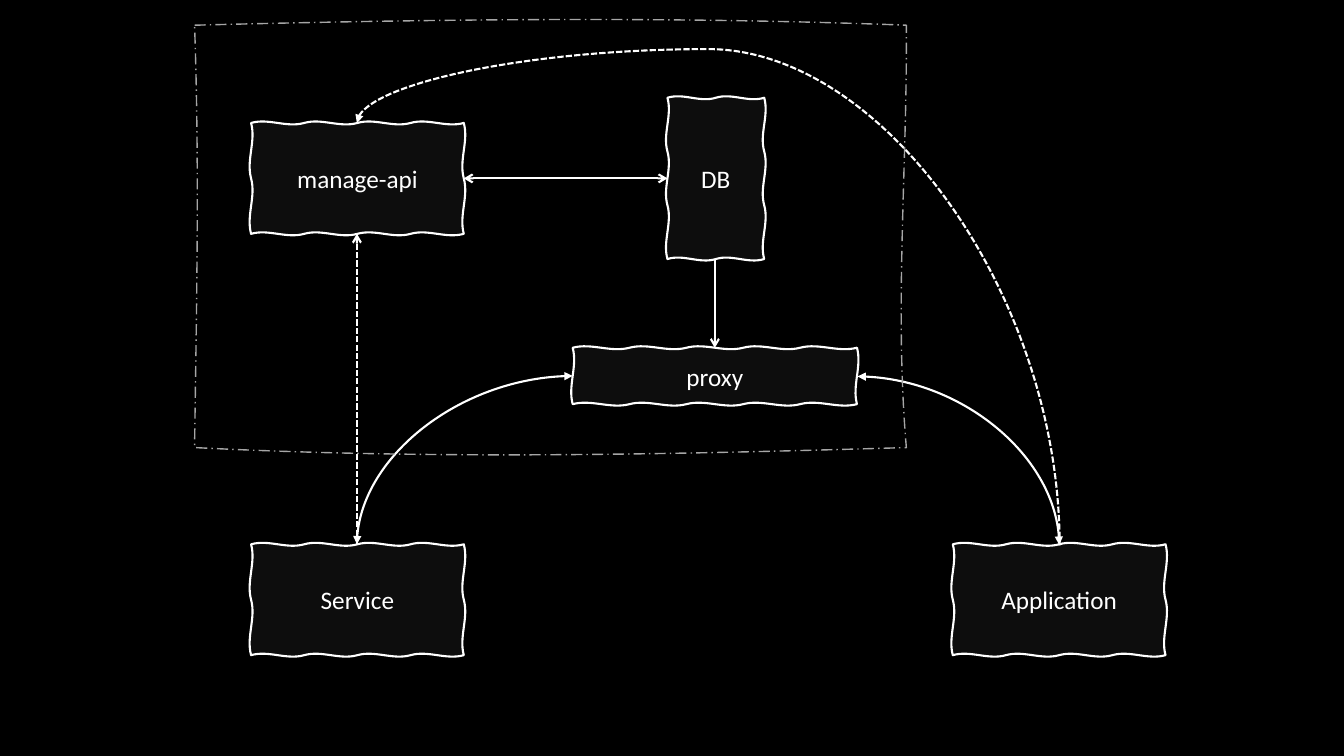
from dataclasses import dataclass

from lxml import etree
from pptx import Presentation
from pptx.dml import color
from pptx.enum import dml, shapes, text
from pptx.oxml import ns
from pptx.util import Inches, Pt


@dataclass(frozen=True)
class Theme:
    background = color.RGBColor(0x00, 0x00, 0x00)
    ink = color.RGBColor(0xFF, 0xFF, 0xFF)
    frame = color.RGBColor(0xA6, 0xA6, 0xA6)
    font = "Calibri"
    label_size = Pt(18)
    line_width = Pt(1.5)
    frame_width = Pt(1)
    fill_alpha = 5000


theme = Theme()


def write(shape, words, size=theme.label_size, ink=theme.ink, align=text.PP_ALIGN.CENTER):
    tf = shape.text_frame
    tf.word_wrap = False
    tf.vertical_anchor = text.MSO_ANCHOR.MIDDLE
    p = tf.paragraphs[0]
    p.alignment = align
    r = p.add_run()
    r.text = words
    r.font.name, r.font.size, r.font.color.rgb = theme.font, size, ink


def sketch_box(left, top, width, height, waves):
    x, y, points, bends = 0, 0, [], []
    edges = ((1, 0, width), (0, 1, height), (-1, 0, width), (0, -1, height))
    for (dx, dy, length), (count, swells) in zip(edges, waves):
        step = length / count
        for _ in range(count):
            bends.append([
                (x + dx * step * t + dy * out, y + dy * step * t - dx * out)
                for t, out in zip((1 / 3, 2 / 3), swells)
            ])
            x, y = x + dx * step, y + dy * step
            points.append((Inches(left + x), Inches(top + y)))
    builder = s.shapes.build_freeform(Inches(left), Inches(top))
    builder.add_line_segments(points, close=True)
    sp = builder.convert_to_shape()
    sp.shadow.inherit = False
    for segment, bend in zip(list(sp.element.iter(ns.qn("a:lnTo"))), bends):
        curve = etree.Element(ns.qn("a:cubicBezTo"))
        for bx, by in bend:
            etree.SubElement(curve, ns.qn("a:pt"), x=str(Inches(bx)), y=str(Inches(by)))
        curve.append(segment[0])
        segment.getparent().replace(segment, curve)
    return sp


prs = Presentation()
prs.slide_width, prs.slide_height = Inches(13.33), Inches(7.5)
s = prs.slides.add_slide(prs.slide_layouts[6])
s.background.fill.solid()
s.background.fill.fore_color.rgb = theme.background

STRAIGHT, CURVE = shapes.MSO_CONNECTOR.STRAIGHT, shapes.MSO_CONNECTOR.CURVE
DASH = dml.MSO_LINE.SQUARE_DOT
quarter, arch = "curvedConnector2", "curvedConnector3"
turned_up = {"rot": "16200000", "flipV": "1"}
turned_over = {"rot": "10800000", "flipV": "1"}
turned_side = {"rot": "16200000", "flipH": "1"}

links = [
    (CURVE, quarter, (8.67, 3.57), (10.34, 5.57), turned_up, None, "triangle", "triangle"),
    (STRAIGHT, "line", (7.09, 2.57), (7.09, 3.45), {}, None, None, "arrow"),
    (STRAIGHT, "line", (3.54, 5.4), (3.54, 2.32), {}, DASH, None, "arrow"),
    (STRAIGHT, "line", (4.6, 1.77), (6.62, 1.77), {}, None, "arrow", "arrow"),
    (CURVE, quarter, (3.54, 3.73), (5.68, 5.4), turned_over, None, "triangle", "triangle"),
    (CURVE, arch, (4.93, -0.17), (9.12, 6.8), turned_side, DASH, "triangle", None),
]
for kind, preset, start, end, turn, dash, head, tail in links:
    link = s.shapes.add_connector(kind, *map(Inches, start + end))
    link.line.color.rgb = theme.ink
    link.line.width = theme.line_width
    if dash:
        link.line.dash_style = dash
    props = link.element.spPr
    for name, value in turn.items():
        props.find(ns.qn("a:xfrm")).set(name, value)
    geometry = props.find(ns.qn("a:prstGeom"))
    geometry.set("prst", preset)
    if preset == arch:
        guides = geometry.find(ns.qn("a:avLst"))
        etree.SubElement(guides, ns.qn("a:gd"), name="adj1", fmla="val -17500")
    for tag, arrow in (("a:headEnd", head), ("a:tailEnd", tail)):
        if arrow:
            etree.SubElement(props.find(ns.qn("a:ln")), ns.qn(tag), type=arrow)
    etree.SubElement(props, ns.qn("a:effectLst"))

boxes = [
    ("Application", 9.45, 5.4, 2.11, 1.1),
    ("Service", 2.49, 5.4, 2.11, 1.1),
    ("proxy", 5.68, 3.45, 2.82, 0.56),
    ("DB", 6.62, 0.97, 0.96, 1.6),
    ("manage-api", 2.49, 1.22, 2.11, 1.1),
]
for label, left, top, width, height in boxes:
    ripples = [(round(side / 0.53), (0.05, -0.05)) for side in (width, height)] * 2
    sp = sketch_box(left, top, width, height, ripples)
    sp.fill.solid()
    sp.fill.fore_color.rgb = theme.ink
    tint = sp.element.spPr.find(ns.qn("a:solidFill"))[0]
    etree.SubElement(tint, ns.qn("a:alpha"), val=str(theme.fill_alpha))
    sp.line.color.rgb = theme.ink
    sp.line.width = theme.line_width
    write(sp, label)

bows = [(1, (0.06, 0.09)), (1, (0.01, -0.12)), (1, (0.07, 0.12)), (1, (-0.02, -0.05))]
frame = sketch_box(1.93, 0.25, 7.06, 4.19, bows)
frame.fill.background()
frame.line.color.rgb = theme.frame
frame.line.width = theme.frame_width
frame.line.dash_style = dml.MSO_LINE.LONG_DASH_DOT

prs.save("out.pptx")
